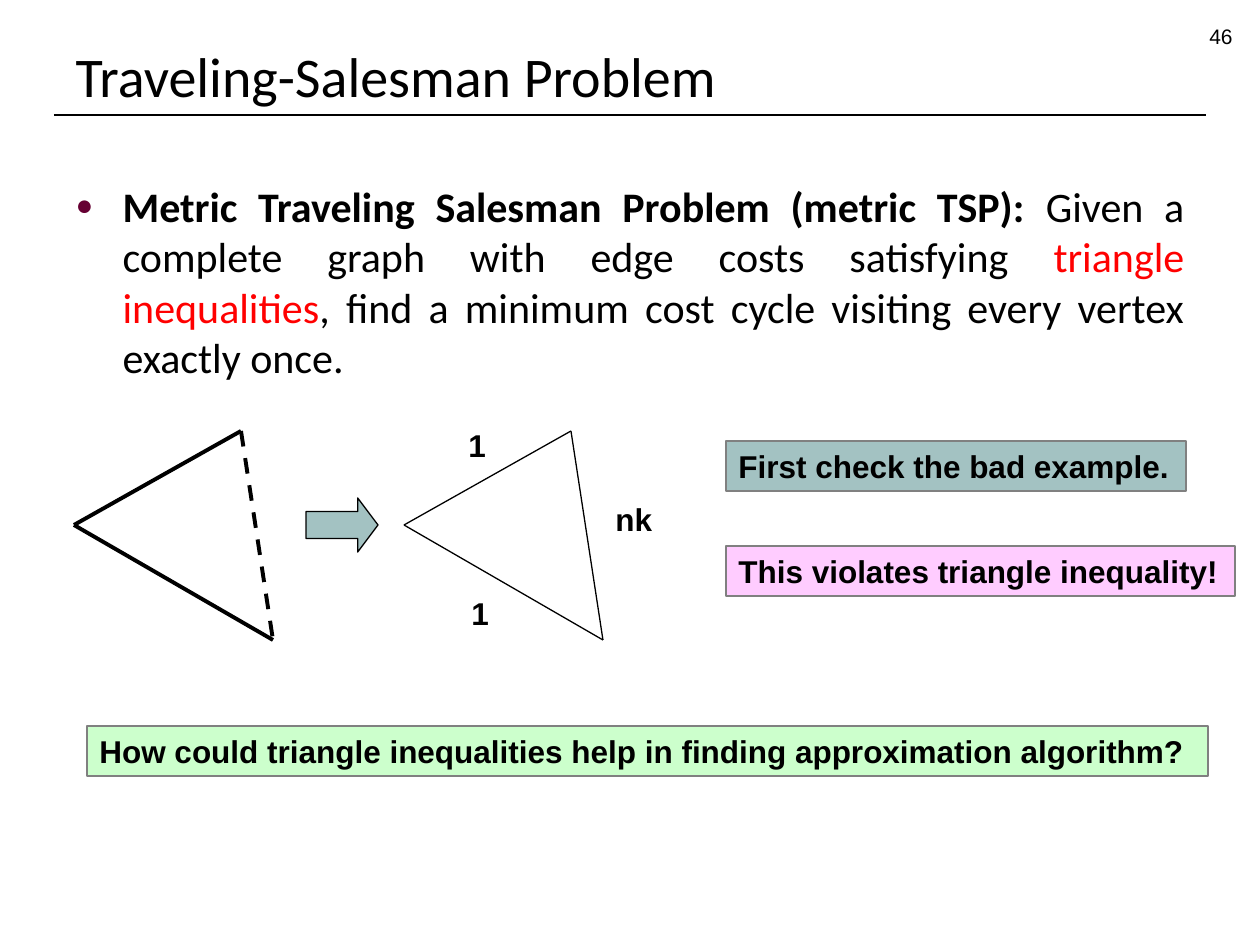
from lxml.etree import SubElement
from pptx import Presentation
from pptx.dml.color import RGBColor
from pptx.enum.dml import MSO_LINE
from pptx.enum.shapes import MSO_CONNECTOR, MSO_SHAPE
from pptx.enum.text import MSO_ANCHOR, MSO_AUTO_SIZE, PP_ALIGN
from pptx.oxml.ns import qn
from pptx.util import Pt

EMU_PER_PX = 914400 / 126

BLACK = RGBColor(0x00, 0x00, 0x00)
RED = RGBColor(0xFF, 0x00, 0x00)
GRAY = RGBColor(0x80, 0x80, 0x80)
MAROON = RGBColor(0x66, 0x00, 0x33)
TEAL = RGBColor(0xA3, 0xC2, 0xC2)
PINK = RGBColor(0xFF, 0xCC, 0xFF)
GREEN = RGBColor(0xCC, 0xFF, 0xCC)


def px(*lengths):
    return [round(length * EMU_PER_PX) for length in lengths]


def place(part, box):
    part.left, part.top, part.width, part.height = px(*box)


def add_run(paragraph, wording, size, font="Arial", color=BLACK, bold=False):
    run = paragraph.add_run()
    run.text = wording
    run.font.size = Pt(size)
    run.font.name = font
    run.font.color.rgb = color
    run.font.bold = bold


def fit_line(frame, wording):
    frame.word_wrap = False
    frame.auto_size = MSO_AUTO_SIZE.SHAPE_TO_FIT_TEXT
    frame.paragraphs[0].alignment = PP_ALIGN.LEFT
    add_run(frame.paragraphs[0], wording, 18, bold=True)


def add_line(slide, start, end, weight=0.75, dash=None):
    line = slide.shapes.add_connector(MSO_CONNECTOR.STRAIGHT, *px(*start, *end))
    line.line.color.rgb = BLACK
    line.line.width = Pt(weight)
    if dash:
        line.line.dash_style = dash
    SubElement(line._element.spPr, qn("a:effectLst"))


def add_filled(slide, preset, box, fill, outline):
    shape = slide.shapes.add_shape(preset, *px(*box))
    shape.shadow.inherit = False
    shape.fill.solid()
    shape.fill.fore_color.rgb = fill
    shape.line.color.rgb = outline
    shape.line.width = Pt(0.75)
    return shape


def add_header(slide, box):
    left, top, width, height = box
    title = slide.shapes.title
    place(title, (left + 9, top, width - 18, height))
    frame = title.text_frame
    frame.auto_size = MSO_AUTO_SIZE.NONE
    frame.vertical_anchor = MSO_ANCHOR.BOTTOM
    frame.paragraphs[0].alignment = PP_ALIGN.LEFT
    add_run(frame.paragraphs[0], "Traveling-Salesman Problem", 32, "Calibri")
    add_line(slide, (left, top + height), (left + width, top + height))

    page_number = slide.shapes.add_textbox(*px(left + 897, top, 294, 35))
    page_number.text_frame.word_wrap = True
    paragraph = page_number.text_frame.paragraphs[0]
    paragraph.alignment = PP_ALIGN.RIGHT
    add_run(paragraph, "46", 12)


def add_definition(slide, box):
    body = slide.placeholders[1]
    place(body, box)
    body.text_frame.auto_size = MSO_AUTO_SIZE.NONE
    paragraph = body.text_frame.paragraphs[0]
    paragraph.alignment = PP_ALIGN.JUSTIFY
    paragraph.space_before = Pt(0)
    properties = paragraph._p.get_or_add_pPr()
    indent = px(47)[0]
    properties.set("marL", str(indent))
    properties.set("indent", str(-indent))
    bullet_color = SubElement(properties, qn("a:buClr"))
    SubElement(bullet_color, qn("a:srgbClr"), val=str(MAROON))
    SubElement(properties, qn("a:buSzPct"), val="70000")
    SubElement(properties, qn("a:buFont"), typeface="Arial")
    SubElement(properties, qn("a:buChar"), char="●")
    for wording, color, bold in (
        ("Metric Traveling Salesman Problem (metric TSP): ", BLACK, True),
        ("Given a complete graph with edge costs satisfying ", BLACK, False),
        ("triangle inequalities", RED, False),
        (", find a minimum cost cycle visiting every vertex exactly once.", BLACK, False),
    ):
        add_run(paragraph, wording, 24, "Calibri", color, bold)


def add_triangle(slide, box, weight, far_side_dash=None):
    left, top, width, height = box
    apex = (left, top + round(height * 0.45))
    upper = (left + round(width * 0.84), top)
    lower = (left + width, top + height)
    add_line(slide, apex, upper, weight)
    add_line(slide, apex, lower, weight)
    add_line(slide, upper, lower, weight, far_side_dash)


def add_bad_example(slide, box):
    left, top, width, height = box
    side = 199
    add_triangle(slide, (left, top, side, height), 2.25, MSO_LINE.DASH)
    add_triangle(slide, (left + width - side, top, side, height), 0.75)
    arrow = add_filled(slide, MSO_SHAPE.RIGHT_ARROW, (left + 232, top + 67, 72, 54), TEAL, BLACK)
    arrow.adjustments[0] = 0.5
    arrow.adjustments[1] = 0.375
    for cost, x, y, label_width in (("1", 382, -11, 43), ("nk", 529, 63, 63), ("1", 385, 157, 43)):
        label = slide.shapes.add_textbox(*px(left + x, top + y, label_width, 50))
        fit_line(label.text_frame, cost)


def add_callout(slide, box, wording, fill):
    callout = add_filled(slide, MSO_SHAPE.RECTANGLE, box, fill, GRAY)
    fit_line(callout.text_frame, wording)


def main():
    deck = Presentation()
    deck.slide_width, deck.slide_height = px(1260, 945)
    slide = deck.slides.add_slide(deck.slide_layouts[1])
    add_header(slide, (54, 17, 1152, 98))
    add_definition(slide, (63, 174, 1134, 744))
    add_bad_example(slide, (74, 431, 529, 209))
    add_callout(slide, (726, 441, 460, 50), "First check the bad example.", TEAL)
    add_callout(slide, (726, 546, 509, 50), "This violates triangle inequality!", PINK)
    add_callout(
        slide,
        (87, 726, 1121, 50),
        "How could triangle inequalities help in finding approximation algorithm?",
        GREEN,
    )
    deck.save("out.pptx")


if __name__ == "__main__":
    main()
